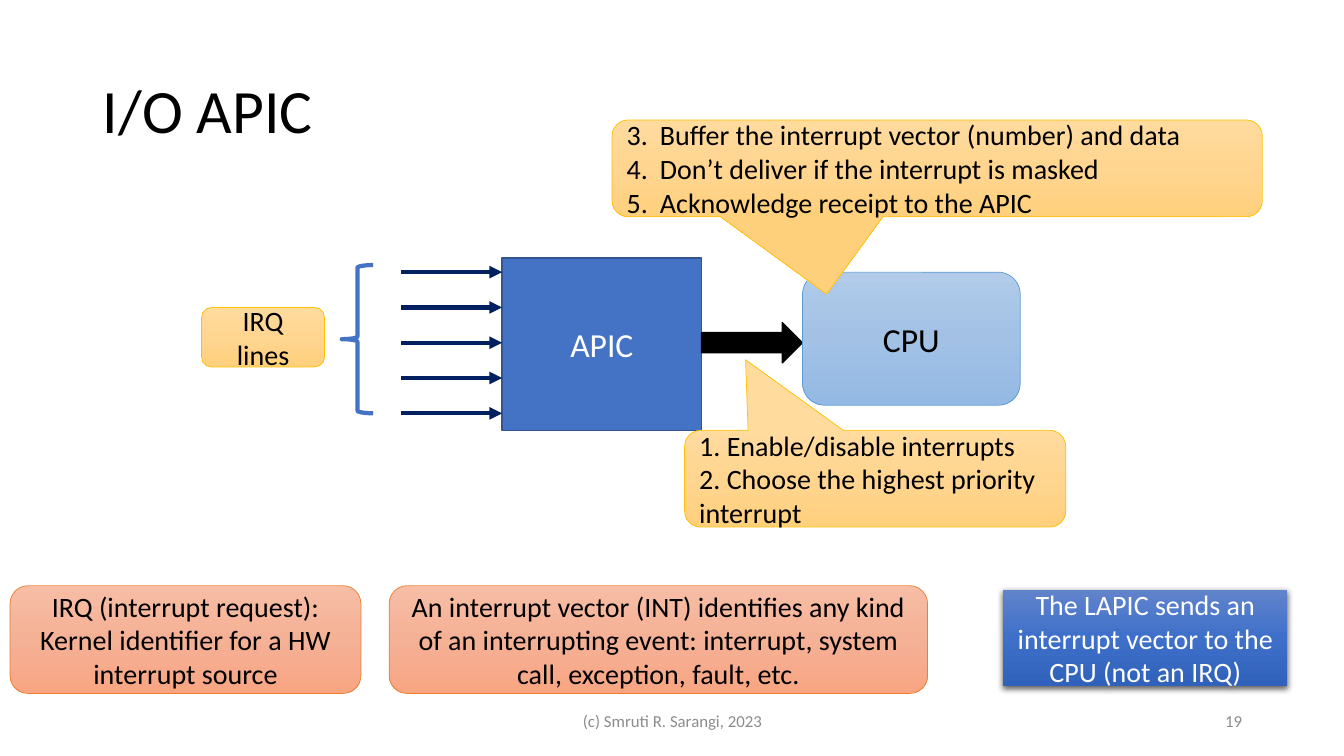
from copy import deepcopy
from lxml import etree
from pptx import Presentation
from pptx.dml.color import RGBColor
from pptx.enum.shapes import MSO_CONNECTOR, MSO_SHAPE
from pptx.enum.text import MSO_ANCHOR, MSO_AUTO_SIZE, PP_ALIGN
from pptx.oxml.ns import qn
from pptx.util import Inches, Pt

RECT, ROUND = MSO_SHAPE.RECTANGLE, MSO_SHAPE.ROUNDED_RECTANGLE
CALL, ARROW = MSO_SHAPE.ROUNDED_RECTANGULAR_CALLOUT, MSO_SHAPE.RIGHT_ARROW
BRACE, LINE = MSO_SHAPE.LEFT_BRACE, MSO_CONNECTOR.STRAIGHT
LEFT, MID, RIGHT = PP_ALIGN.LEFT, PP_ALIGN.CENTER, PP_ALIGN.RIGHT

THEME = {
    "font": "Calibri",
    "title": 44, "node": 24, "note": 20, "foot": 12,
    "black": "000000", "white": "FFFFFF", "grey": "8C8C8C", "navy": "002060",
    "blue": "4472C4", "edge": "325491",
    # fill stops from top to bottom, then the outline
    "gold": (["FFDB9E", "FFD590", "FFD07C"], "FFC000"),
    "sky": (["B1CBE9", "A3C1E5", "93B9E4"], "5B9BD5"),
    "coral": (["F7BDA5", "F5B196", "F8A582"], "ED7D31"),
    "royal": (["6183CB", "3E70CA", "3062BB"], None),
}

deck = Presentation()
deck.slide_width, deck.slide_height = Inches(13.33), Inches(7.5)
col, row = deck.slide_width / 100, deck.slide_height / 100  # 100 x 100 grid
slide = deck.slides.add_slide(deck.slide_layouts[5])
shapes = slide.shapes


def write(shape, lines, size, ink, align=MID, hang=0):
    frame = shape.text_frame
    frame.word_wrap = True
    frame.auto_size = MSO_AUTO_SIZE.NONE
    frame.vertical_anchor = MSO_ANCHOR.MIDDLE
    for i, line in enumerate(lines):
        para = frame.add_paragraph() if i else frame.paragraphs[0]
        para.alignment = align
        if hang:
            props = para._p.get_or_add_pPr()
            props.set("marL", str(Inches(hang)))
            props.set("indent", str(-Inches(hang)))
        run = para.add_run()
        run.text = line
        run.font.name = THEME["font"]
        run.font.size = Pt(THEME[size])
        run.font.color.rgb = RGBColor.from_string(THEME[ink])


def draw(kind, x, y, w, h, fill, edge, width):
    shape = shapes.add_shape(kind, int(x * col), int(y * row),
                             int(w * col), int(h * row))
    shape.shadow.inherit = False
    if fill is None:
        shape.fill.background()
    elif isinstance(fill, str):
        shape.fill.solid()
        shape.fill.fore_color.rgb = RGBColor.from_string(fill)
    else:
        shape.fill.gradient()
        shape.fill.gradient_angle = 270
        stops = shape._element.spPr.find(qn("a:gradFill")).find(qn("a:gsLst"))
        stops.insert(1, deepcopy(stops[0]))
        for i, stop in enumerate(shape.fill.gradient_stops):
            stop.position = i / 2
            stop.color.rgb = RGBColor.from_string(fill[i])
    if edge:
        shape.line.color.rgb = RGBColor.from_string(edge)
        shape.line.width = Pt(width)
    else:
        shape.line.fill.background()
    return shape


# Title
title = shapes.title
title.left, title.top = int(6.9 * col), int(5.33 * row)
title.width, title.height = int(86.27 * col), int(19.33 * row)
write(title, ["I/O APIC"], "title", "black", LEFT)
title.text_frame.paragraphs[0].line_spacing = 0.9

# Footer and page number
for x, w, text, align in [(33.16, 33.76, "(c) Smruti R. Sarangi, 2023", MID),
                          (70.67, 22.5, "19", RIGHT)]:
    box = shapes.add_textbox(int(x * col), int(92.67 * row),
                             int(w * col), int(5.33 * row))
    write(box, [text], "foot", "grey", align)

# APIC with its interrupt lines
apic = draw(RECT, 37.36, 34.13, 14.85, 22.8, THEME["blue"], THEME["edge"], 1)
write(apic, ["APIC"], "node", "white")
for i in range(5):
    y = int((36 + 4.67 * i) * row)
    wire = shapes.add_connector(LINE, int(29.86 * col), y, int(37.36 * col), y)
    wire.line.color.rgb = RGBColor.from_string(THEME["navy"])
    wire.line.width = Pt(3)
    etree.SubElement(wire.line._get_or_add_ln(), qn("a:tailEnd"), type="triangle")
    etree.SubElement(wire._element.spPr, qn("a:effectLst"))
draw(BRACE, 25.43, 35.07, 2.33, 19.6, None, THEME["blue"], 3)

# Arrow to the CPU
draw(ARROW, 52.21, 42.67, 7.5, 5.33, THEME["black"], THEME["black"], 1)

# Labels, callouts and notes: place, palette, text, size, ink, align, hang, tip
parts = [
    (ROUND, (15, 40.67, 9.15, 7.87), "gold", ["IRQ lines"],
     "note", "black", MID, 0, None),
    (CALL, (50.94, 56.93, 28.36, 12.8), "gold",
     ["1. Enable/disable interrupts",
      "2. Choose the highest priority interrupt"],
     "note", "black", LEFT, 0, (-0.34, -1.23)),
    (ROUND, (59.71, 36, 16.2, 17.6), "sky", ["CPU"],
     "node", "black", MID, 0, None),
    (CALL, (45.54, 15.87, 48.39, 12.8), "gold",
     ["3.\tBuffer the interrupt vector (number) and data",
      "4.\tDon’t deliver if the interrupt is masked",
      "5.\tAcknowledge receipt to the APIC"],
     "note", "black", LEFT, 0.33, (-0.17, 1.3)),
    (ROUND, (0.75, 77.47, 26.11, 14.27), "coral",
     ["IRQ (interrupt request): Kernel identifier for a HW interrupt source"],
     "note", "black", MID, 0, None),
    (ROUND, (28.96, 77.47, 40.06, 14.27), "coral",
     ["An interrupt vector (INT) identifies any kind of an interrupting event: "
      "interrupt, system call, exception, fault, etc."],
     "note", "black", MID, 0, None),
    (RECT, (74.64, 78, 21.16, 12.8), "royal",
     ["The LAPIC sends an interrupt vector to the CPU (not an IRQ)"],
     "note", "white", MID, 0, None),
]
for kind, place, hue, lines, size, ink, align, hang, tip in parts:
    fill, edge = THEME[hue]
    part = draw(kind, *place, fill, edge, 0.5)
    write(part, lines, size, ink, align, hang)
    if tip:
        part.adjustments[0], part.adjustments[1] = tip

# Soft shadow under the last note
glow = part._element.spPr.find(qn("a:effectLst"))
shade = etree.SubElement(glow, qn("a:outerShdw"), blurRad=str(Pt(4.5)),
                         dist=str(Pt(1.5)), dir="5400000", rotWithShape="0")
tone = etree.SubElement(shade, qn("a:srgbClr"), val=THEME["black"])
etree.SubElement(tone, qn("a:alpha"), val="63000")

deck.save("out.pptx")
